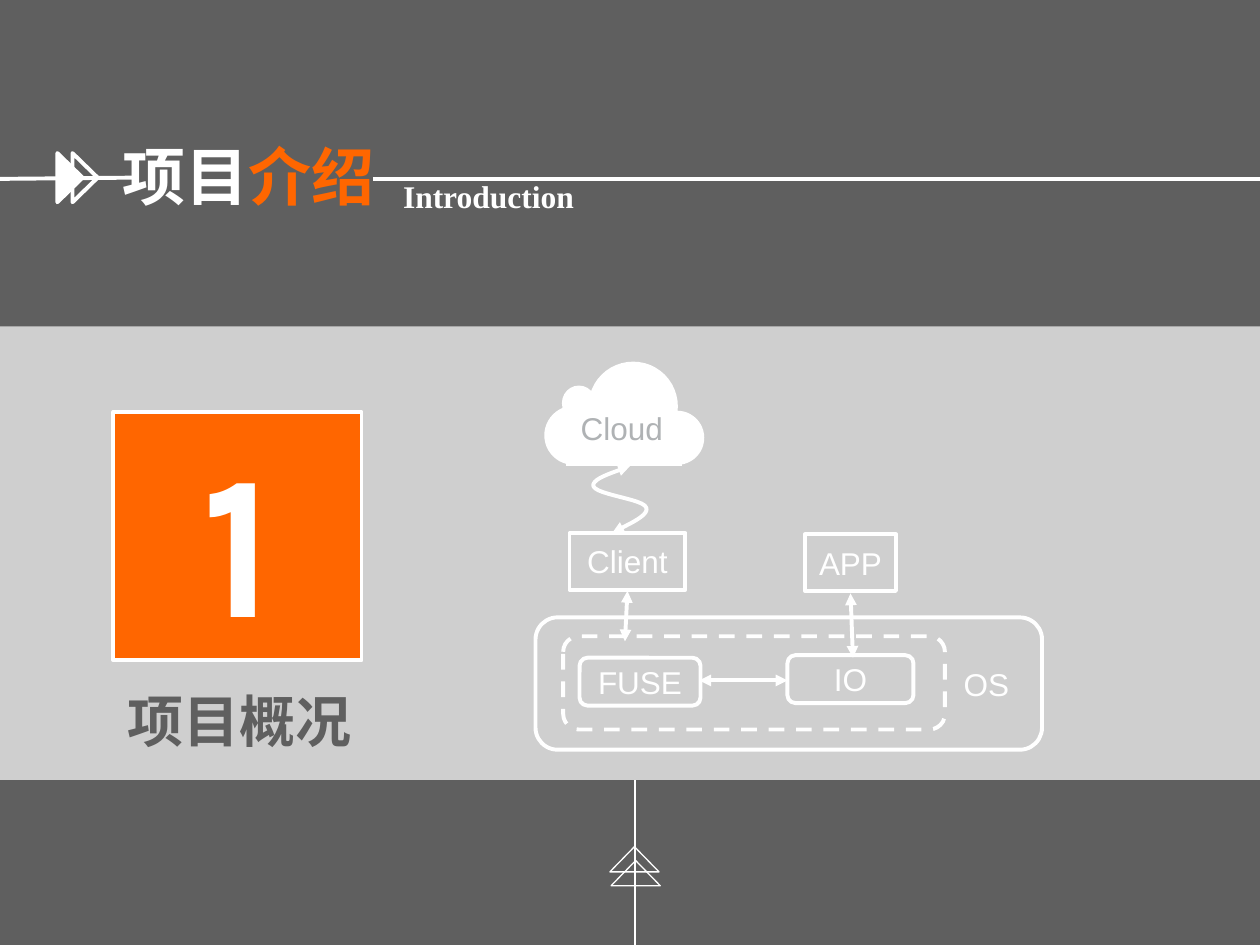
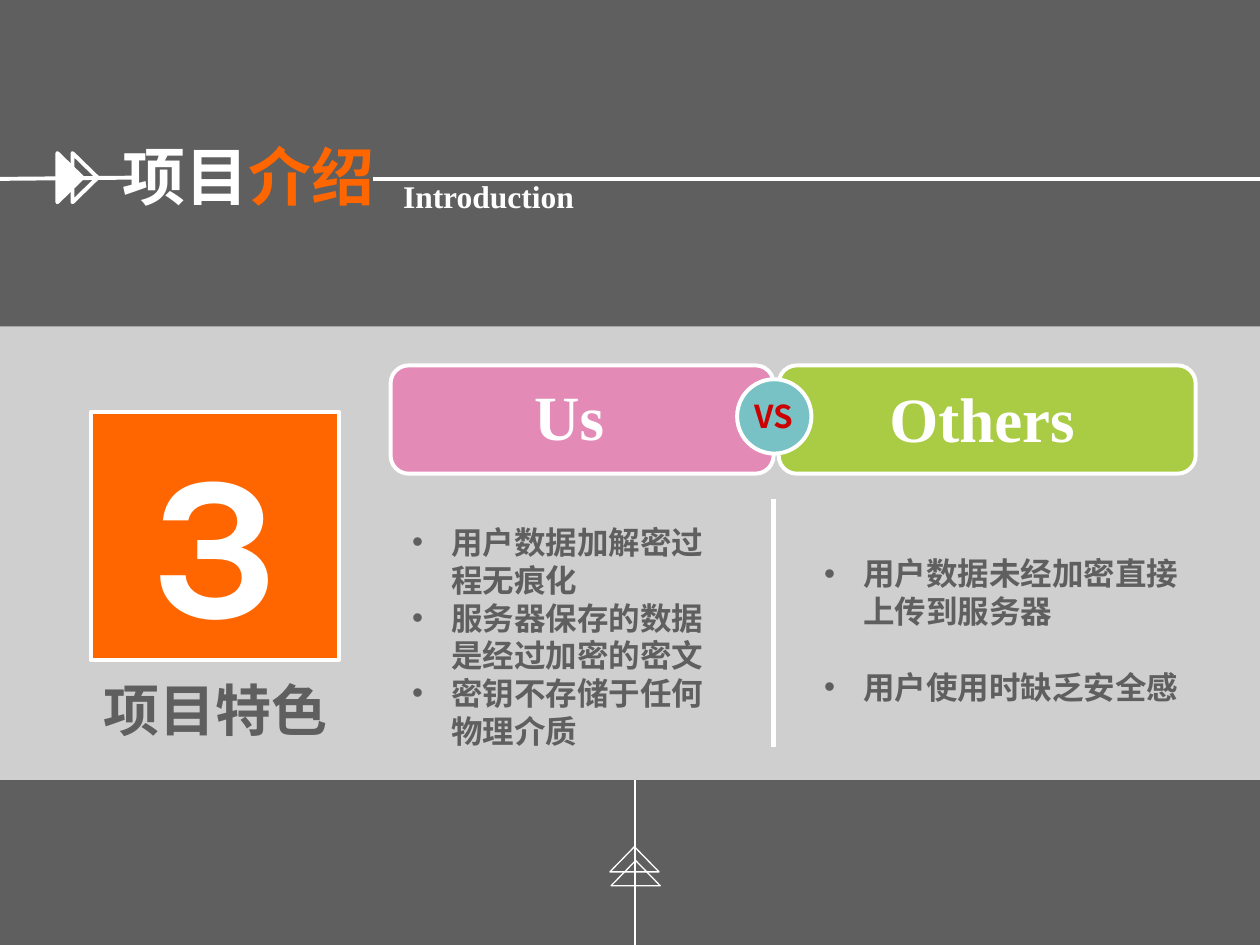
"""Build the two project introduction slides: overview and features."""
from lxml.etree import SubElement
from pptx import Presentation
from pptx.dml.color import RGBColor
from pptx.enum.dml import MSO_LINE_DASH_STYLE as Dash
from pptx.enum.shapes import MSO_CONNECTOR, MSO_SHAPE as Preset
from pptx.enum.text import MSO_ANCHOR as Anchor, MSO_AUTO_SIZE, PP_ALIGN as Align
from pptx.oxml.ns import qn
from pptx.util import Inches, Pt

COLORS = {
    "gray": "5F5F5F", "white": "FFFFFF", "orange": "FF6600", "silver": "AFB2B4",
    "pink": "FF3399", "green": "99CC00", "teal": "78C2C6", "red": "CC0000",
}
RGB = {name: RGBColor.from_string(value) for name, value in COLORS.items()}


def draw(slide, preset, box, fill=None, weight=None, opacity=None):
    """Add a shape, or a text box when preset is None."""
    place = [Inches(length) for length in box]
    if preset is None:
        return slide.shapes.add_textbox(*place)
    shape = slide.shapes.add_shape(preset, *place)
    shape.shadow.inherit = False
    if fill:
        shape.fill.solid()
        shape.fill.fore_color.rgb = RGB[fill]
    else:
        shape.fill.background()
    if opacity:
        tint = shape._element.spPr.find(qn("a:solidFill")).find(qn("a:srgbClr"))
        SubElement(tint, qn("a:alpha"), val=str(opacity * 1000))
    if weight:
        shape.line.color.rgb = RGB["white"]
        shape.line.width = Pt(weight)
    else:
        shape.line.fill.background()
    return shape


def write(shape, paragraphs, size, font="Arial", bold=False, centered=False):
    """Fill a shape with paragraphs, each a list of (text, color) runs."""
    frame = shape.text_frame
    frame.auto_size = MSO_AUTO_SIZE.NONE
    frame.word_wrap = not centered
    frame.vertical_anchor = Anchor.MIDDLE if centered else Anchor.TOP
    for index, runs in enumerate(paragraphs):
        paragraph = frame.add_paragraph() if index else frame.paragraphs[0]
        paragraph.alignment = Align.CENTER if centered else Align.LEFT
        paragraph.space_before = Pt(0)
        for text, color in runs:
            run = paragraph.add_run()
            run.text = text
            run.font.name = font
            run.font.size = Pt(size)
            run.font.bold = bold
            run.font.color.rgb = RGB[color]
            SubElement(run._r.rPr, qn("a:ea"), typeface="Noto Sans CJK SC")


prs = Presentation()
prs.slide_width, prs.slide_height = Inches(10), Inches(7.5)
overview = prs.slides.add_slide(prs.slide_layouts[5])
features = prs.slides.add_slide(prs.slide_layouts[3])

sections = [
    (overview, "1", 0.9, "项目概况", (0.91, 5.4, 2.11, 0.64)),
    (features, "3", 0.72, "项目特色", (0.72, 5.31, 2.22, 0.64)),
]
for slide, number, number_left, caption, caption_box in sections:
    slide.background.fill.solid()
    slide.background.fill.fore_color.rgb = RGB["gray"]
    band = draw(slide, Preset.FLOWCHART_PROCESS, (0, 2.59, 10, 3.6), "white", opacity=70)
    slide.shapes._spTree.insert(2, band._element)

    title = slide.shapes.title
    title.left, title.top, title.width, title.height = map(Inches, (0.87, 1.04, 4.6, 0.7))
    write(title, [[("项目", "white"), ("介绍", "orange")]], 36, bold=True)
    subtitle = draw(slide, None, (3.1, 1.36, 2.65, 0.4))
    write(subtitle, [[("Introduction", "white")]], 18, "Times New Roman", True)

    for left, fill in ((0.36, "white"), (0.48, None)):
        draw(slide, Preset.ISOSCELES_TRIANGLE, (left, 1.31, 0.39, 0.2), fill, 2.25).rotation = 90
    for left, top in ((4.84, 6.72), (4.85, 6.83)):
        draw(slide, Preset.ISOSCELES_TRIANGLE, (left, top, 0.39, 0.2), None, 0.75)

    number_tile = draw(slide, Preset.RECTANGLE, (number_left, 3.27, 1.97, 1.97), "orange", 2.25)
    write(number_tile, [[(number, "white")]], 117, "Karla", True, True)
    write(draw(slide, None, caption_box), [[(caption, "gray")]], 32, bold=True)

draw(overview, Preset.FLOWCHART_ALTERNATE_PROCESS, (4.25, 4.9, 4.02, 1.05), None, 2.25)
kernel = draw(overview, Preset.FLOWCHART_ALTERNATE_PROCESS, (4.47, 5.05, 3.03, 0.74), None, 2.25)
kernel.line.dash_style = Dash.DASH

components = [
    ("FUSE", Preset.FLOWCHART_ALTERNATE_PROCESS, (4.6, 5.22, 0.96, 0.38)),
    ("IO", Preset.FLOWCHART_ALTERNATE_PROCESS, (6.25, 5.2, 1, 0.38)),
    ("Client", Preset.FLOWCHART_PROCESS, (4.52, 4.23, 0.92, 0.45)),
    ("APP", Preset.FLOWCHART_PROCESS, (6.39, 4.24, 0.72, 0.45)),
]
for name, preset, box in components:
    write(draw(overview, preset, box, None, 2.25), [[(name, "white")]], 18, centered=True)

cloud_puffs = [
    (4.67, 2.87, 0.71, 0.71), (5.16, 3.26, 0.43, 0.43),
    (4.32, 3.22, 0.47, 0.47), (4.46, 3.06, 0.27, 0.28),
]
for puff in cloud_puffs:
    draw(overview, Preset.OVAL, puff, "white")
draw(overview, Preset.FLOWCHART_PROCESS, (4.49, 3.34, 0.92, 0.36), "white")

labels = [
    ("OS", "white", (7.55, 5.23, 0.82, 0.4)),
    ("Cloud", "silver", (4.51, 3.2, 1.04, 0.4)),
]
for label, color, box in labels:
    write(draw(overview, None, box), [[(label, color)]], 18)

bends = [
    ((5, 3.7), (4.94, 3.73), (4.69, 3.79), (4.71, 3.86)),
    ((4.71, 3.86), (4.74, 3.93), (5.11, 3.96), (5.13, 4.03)),
    ((5.13, 4.03), (5.16, 4.1), (4.92, 4.19), (4.86, 4.23)),
]
STEPS = 12
link_points = []
for bend in bends:
    for step in range(1, STEPS + 1):
        t = step / STEPS
        weights = ((1 - t) ** 3, 3 * t * (1 - t) ** 2, 3 * t * t * (1 - t), t ** 3)
        link_points.append([
            Inches(sum(w * point[axis] for w, point in zip(weights, bend))) for axis in (0, 1)
        ])
builder = overview.shapes.build_freeform(Inches(5), Inches(3.7))
builder.add_line_segments(link_points, close=False)
cloud_link = builder.convert_to_shape()
cloud_link.shadow.inherit = False
cloud_link.fill.background()

panels = [
    ("Us", (3.1, 2.9, 3.04, 0.86), "pink", 44, (4.14, 2.95, 1.32, 0.7)),
    ("Others", (6.18, 2.9, 3.31, 0.86), "green", 67, (6.96, 2.96, 2.01, 0.7)),
]
for side, box, fill, opacity, heading_box in panels:
    draw(features, Preset.ROUNDED_RECTANGLE, box, fill, 2.25, opacity)
    heading = draw(features, None, heading_box)
    write(heading, [[(side, "white")]], 36, "Times New Roman", True)
versus = draw(features, Preset.OVAL, (5.85, 3.01, 0.59, 0.59), "teal", 2.25)
write(versus, [[("VS", "red")]], 18, "Noto Sans CJK SC", True, True)

arguments = [
    (1, (3.17, 4.1, 2.58, 2.2), 0,
     ["用户数据加解密过程无痕化", "服务器保存的数据是经过加密的密文", "密钥不存储于任何物理介质"]),
    (2, (6.44, 4.35, 3.04, 1.3), 21.6,
     ["用户数据未经加密直接上传到服务器", "用户使用时缺乏安全感"]),
]
for index, box, gap, points in arguments:
    body = features.placeholders[index]
    body.left, body.top, body.width, body.height = map(Inches, box)
    write(body, [[(point, "gray")] for point in points], 18, bold=True)
    for order, paragraph in enumerate(body.text_frame.paragraphs):
        paragraph.space_before = Pt(gap if order else 0)
        props = paragraph._p.get_or_add_pPr()
        props.set("marL", str(Inches(0.31)))
        props.set("indent", str(Inches(-0.31)))
        SubElement(SubElement(props, qn("a:buClr")), qn("a:srgbClr"), val=COLORS["gray"])
        SubElement(props, qn("a:buFont"), typeface="Arial")
        SubElement(props, qn("a:buChar"), char="•")

shared_lines = [
    ((0, 1.42, 1.05, 1.41), 2.25, False),
    ((2.96, 1.42, 10, 1.42), 2.25, False),
    ((5.04, 7.5, 5.04, 6.19), 0.75, False),
]
overview_lines = [
    ((4.98, 4.69, 4.96, 5.09), 2.25, True),
    ((6.75, 4.71, 6.77, 5.22), 2.25, True),
    ((5.55, 5.4, 6.25, 5.4), 2.25, True),
]
feature_lines = [((6.14, 3.96, 6.14, 5.93), 3, False)]
strokes = [(cloud_link, 2.25, True)]
for slide, own_lines in ((overview, overview_lines), (features, feature_lines)):
    for ends, weight, arrows in shared_lines + own_lines:
        connector = slide.shapes.add_connector(MSO_CONNECTOR.STRAIGHT, *map(Inches, ends))
        strokes.append((connector, weight, arrows))
for stroke, weight, arrows in strokes:
    stroke.line.color.rgb = RGB["white"]
    stroke.line.width = Pt(weight)
    outline = stroke._element.spPr.find(qn("a:ln"))
    if arrows:
        for end in ("a:headEnd", "a:tailEnd"):
            SubElement(outline, qn(end), type="triangle")
    if stroke is not cloud_link:
        SubElement(stroke._element.spPr, qn("a:effectLst"))

prs.save("out.pptx")
